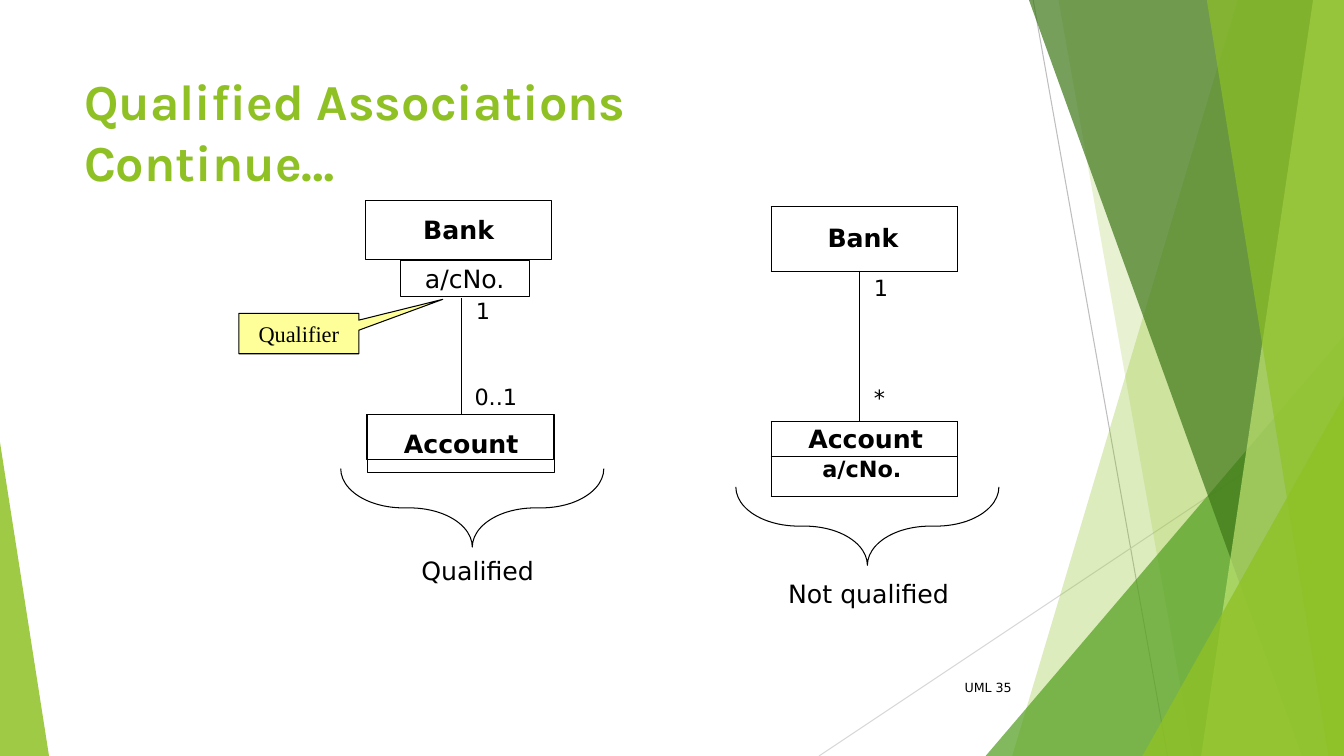
"""Build a slide that compares a qualified and an unqualified UML association."""
from lxml.etree import SubElement
from pptx import Presentation
from pptx.dml.color import RGBColor
from pptx.enum.shapes import MSO_CONNECTOR, MSO_SHAPE
from pptx.enum.text import MSO_ANCHOR, PP_ALIGN
from pptx.oxml.ns import qn
from pptx.util import Pt

WIDTH, HEIGHT = 960, 540
BLACK, LIME = "000000", "8FC125"
CORNER = (WIDTH, HEIGHT)
THIN = 0.75

BACKDROP_LINES = [((738, 0), (834, HEIGHT), "BEBEBE"), ((WIDTH, 290), (585, HEIGHT), "D8D8D8")]
BACKDROP_PANELS = [
    ([(WIDTH, 0), (884, 0), (723, HEIGHT), CORNER], LIME, 30),
    ([(WIDTH, 0), (756, 0), (852, HEIGHT), CORNER], LIME, 20),
    ([(WIDTH, 240), (703.5, HEIGHT), CORNER], "539F20", 72),
    ([(WIDTH, 0), (735, 0), (929.5, HEIGHT), CORNER], "3E7718", 70),
    ([(WIDTH, 0), (938, 0), (858, HEIGHT), CORNER], "BFE373", 70),
    ([(WIDTH, 0), (862, 0), (949, HEIGHT), CORNER], LIME, 65),
    ([(WIDTH, 283), (816.5, HEIGHT), CORNER], LIME, 80),
    ([(0, 316), (0, HEIGHT), (35, HEIGHT)], LIME, 85),
]

TITLE = "Qualified Associations Continue…"
TITLE_FRAME = (60, 50.4, 558.7, 90)
PLAIN = {"name": "DejaVu Sans", "size": Pt(18), "bold": False}
STRONG = {**PLAIN, "bold": True}
SMALL = {**PLAIN, "size": Pt(16)}
TINY = {**PLAIN, "size": Pt(9)}
NOTE = {**SMALL, "name": "Times New Roman"}
HEADING = {"name": "Karla", "size": Pt(36), "bold": True}

CLASS_BOXES = [
    ("Bank", (261.4, 143.3, 132.5, 41.8), STRONG),
    ("a/cNo.", (285.8, 185.8, 92.2, 25.9), PLAIN),
    ("", (262.1, 295.9, 133.2, 32.4), PLAIN),
    ("Account", (262.8, 295.9, 133.2, 41.8), STRONG),
]
LINK_TOP = 213
QUALIFIER = ("Qualifier", (170.6, 223.9, 85.7, 28.8), NOTE)
QUALIFIER_TIP = (1.2, -0.85)
LABELS = [
    ("1", (340, 212, 30, 19), SMALL),
    ("0..1", (339, 274, 50, 19), SMALL),
    ("Qualified", (301, 396.5, 95, 22), PLAIN),
    ("Not qualified", (563, 413, 130, 22), PLAIN),
    ("UML 35", (689, 485.5, 50, 12), TINY),
]
BRACES = [(243.4, 334.8), (525.6, 347.8)]
BRACE_SPAN, BRACE_DEPTH = 187.9, 56

TABLE_ORIGIN = (550.8, 147.6)
COLUMNS = [63.4, 69.8]
ROWS = [46.1, 107.3, 25.2, 28.1]
MERGED_ROWS = [0, 2, 3]
CELLS = [
    (0, 0, ["Bank"], 40.3, 0, MSO_ANCHOR.MIDDLE, STRONG),
    (1, 1, ["1", "*"], 10, 3.6, MSO_ANCHOR.TOP, SMALL),
    (2, 0, ["Account"], 26.6, 1.5, MSO_ANCHOR.MIDDLE, STRONG),
    (3, 0, ["a/cNo."], 36.7, 0, MSO_ANCHOR.TOP, {**STRONG, "size": Pt(16)}),
]
MULTIPLICITY_GAP = 59.5


def rgb(value):
    return RGBColor.from_string(value)


def points(values):
    return [Pt(value) for value in values]


def format_span(span, style, color=BLACK):
    for name, value in style.items():
        setattr(span.font, name, value)
    span.font.color.rgb = rgb(color)


def write(frame, lines, style, align=PP_ALIGN.LEFT, gap=0, color=BLACK):
    for index, line in enumerate(lines):
        para = frame.add_paragraph() if index else frame.paragraphs[0]
        para.alignment = align
        if index:
            para.space_before = Pt(gap)
        span = para.add_run()
        span.text = line
        format_span(span, style, color)


def clear_margins(frame):
    for side in ("left", "top", "right", "bottom"):
        setattr(frame, f"margin_{side}", 0)
    frame.word_wrap = True


def add_outline(shapes, kind, frame, fill=None):
    shape = shapes.add_shape(kind, *points(frame))
    shape.shadow.inherit = False
    if fill:
        shape.fill.solid()
        shape.fill.fore_color.rgb = rgb(fill)
    else:
        shape.fill.background()
    shape.line.color.rgb = rgb(BLACK)
    shape.line.width = Pt(THIN)
    return shape


def add_box(shapes, text, frame, style, kind=MSO_SHAPE.RECTANGLE, fill=None):
    box = add_outline(shapes, kind, frame, fill)
    clear_margins(box.text_frame)
    box.text_frame.vertical_anchor = MSO_ANCHOR.MIDDLE
    if text:
        write(box.text_frame, [text], style, PP_ALIGN.CENTER)
    return box


def add_line(shapes, start, end, color):
    line = shapes.add_connector(MSO_CONNECTOR.STRAIGHT, *points(start + end))
    line.line.color.rgb = rgb(color)
    line.line.width = Pt(THIN)
    SubElement(line._element.spPr, qn("a:effectLst"))
    return line


def add_panel(shapes, corners, color, opacity):
    builder = shapes.build_freeform(*corners[0], scale=Pt(1))
    builder.add_line_segments(corners[1:], close=True)
    panel = builder.convert_to_shape()
    panel.shadow.inherit = False
    panel.line.fill.background()
    panel.fill.solid()
    panel.fill.fore_color.rgb = rgb(color)
    tone = panel._element.spPr.find(qn("a:solidFill"))[0]
    SubElement(tone, qn("a:alpha"), val=str(opacity * 1000))


def set_borders(cell, hidden=""):
    properties = cell._tc.get_or_add_tcPr()
    for side in "LRTB":
        edge = SubElement(properties, qn(f"a:ln{side}"), w=str(Pt(THIN)))
        if side == hidden:
            SubElement(edge, qn("a:noFill"))
        else:
            fill = SubElement(edge, qn("a:solidFill"))
            SubElement(fill, qn("a:srgbClr"), val=BLACK)
    cell.fill.background()


def add_class_table(shapes):
    size = (sum(COLUMNS), sum(ROWS))
    table = shapes.add_table(len(ROWS), len(COLUMNS), *points(TABLE_ORIGIN + size)).table
    table.first_row = table.horz_banding = False
    for column, width in zip(table.columns, COLUMNS):
        column.width = Pt(width)
    for index, (row, height) in enumerate(zip(table.rows, ROWS)):
        row.height = Pt(height)
        for cell, outer in zip(row.cells, "LR"):
            clear_margins(cell)
            set_borders(cell, "" if index in MERGED_ROWS else outer)
    for index in MERGED_ROWS:
        table.cell(index, 0).merge(table.cell(index, 1))
    for row, column, lines, left, top, anchor, style in CELLS:
        cell = table.cell(row, column)
        cell.margin_left, cell.margin_top = points((left, top))
        cell.vertical_anchor = anchor
        write(cell.text_frame, lines, style, gap=MULTIPLICITY_GAP)


def main():
    deck = Presentation()
    deck.slide_width, deck.slide_height = points((WIDTH, HEIGHT))
    page = deck.slides.add_slide(deck.slide_layouts[5])
    shapes = page.shapes
    for start, end, color in BACKDROP_LINES:
        add_line(shapes, start, end, color)
    for panel in BACKDROP_PANELS:
        add_panel(shapes, *panel)

    title = shapes.title
    title.left, title.top, title.width, title.height = points(TITLE_FRAME)
    clear_margins(title.text_frame)
    title.text_frame.vertical_anchor = MSO_ANCHOR.TOP
    write(title.text_frame, [TITLE], HEADING, color=LIME)

    boxes = [add_box(shapes, *entry) for entry in CLASS_BOXES]
    left, top, width, _ = CLASS_BOXES[-1][1]
    middle = left + width / 2
    link = add_line(shapes, (middle, LINK_TOP), (middle, top), BLACK)
    link.end_connect(boxes[-1], 0)
    callout = add_box(shapes, *QUALIFIER, MSO_SHAPE.RECTANGULAR_CALLOUT, "FFFF99")
    callout.adjustments[0], callout.adjustments[1] = QUALIFIER_TIP
    add_class_table(shapes)

    shift = (BRACE_SPAN - BRACE_DEPTH) / 2
    for left, top in BRACES:
        frame = (left + shift, top - shift, BRACE_DEPTH, BRACE_SPAN)
        brace = add_outline(shapes, MSO_SHAPE.RIGHT_BRACE, frame)
        brace.rotation = 90
        brace.adjustments[0] = 0.8
    for text, frame, style in LABELS:
        label = shapes.add_textbox(*points(frame))
        clear_margins(label.text_frame)
        write(label.text_frame, [text], style)
    deck.save("out.pptx")


if __name__ == "__main__":
    main()
